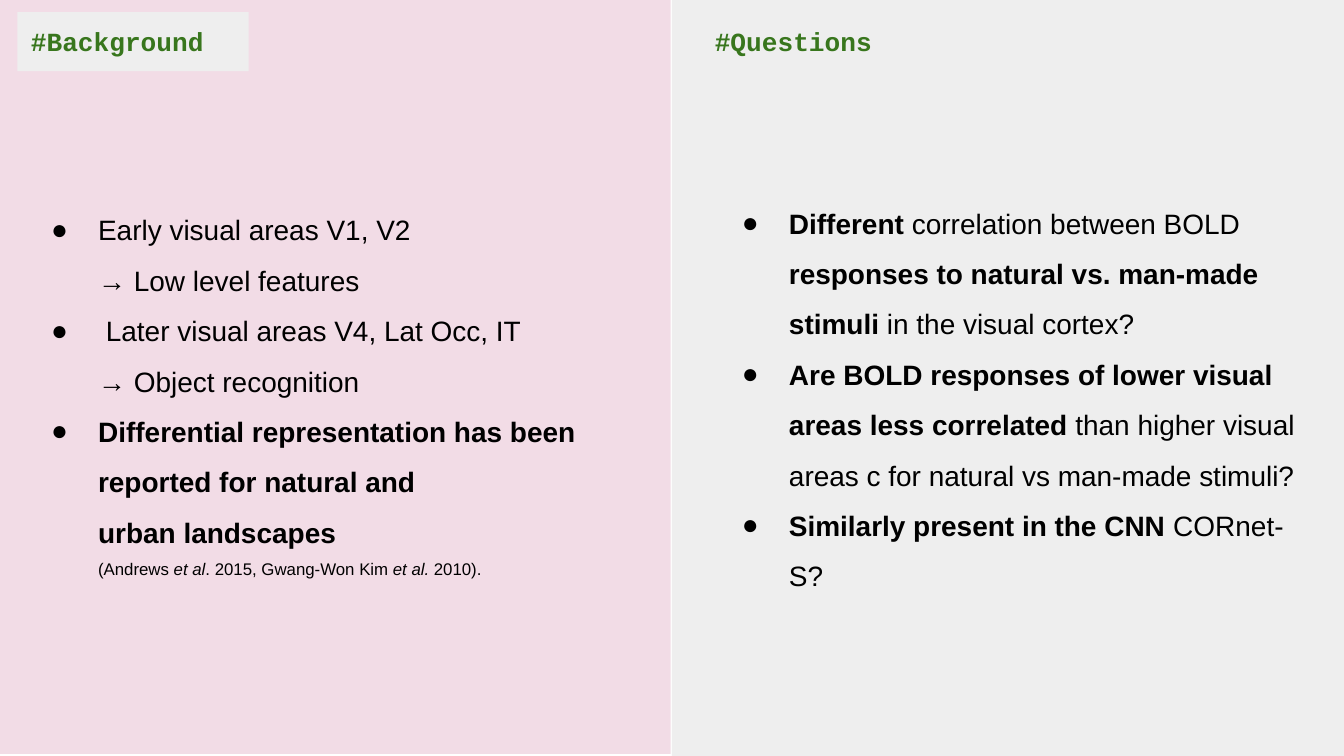
from copy import deepcopy

from lxml.etree import SubElement
from pptx import Presentation
from pptx.dml.color import RGBColor
from pptx.enum.shapes import MSO_SHAPE
from pptx.enum.text import MSO_ANCHOR, MSO_AUTO_SIZE, PP_ALIGN
from pptx.oxml.ns import qn
from pptx.util import Inches, Pt

GREY = RGBColor(0xEE, 0xEE, 0xEE)
PINK = RGBColor(0xF2, 0xDC, 0xE6)
GREEN = RGBColor(0x38, 0x76, 0x1D)
BLACK = RGBColor(0, 0, 0)

# Each bullet is a list of (text, style); style letters: b bold, i italic, s small
BACKGROUND = [
    [("Early visual areas V1, V2 \n→ Low level features", "")],
    [(" Later visual areas V4, Lat Occ, IT\n→ Object recognition", "")],
    [("Differential representation has been reported for natural and \n"
      "urban landscapes \n", "b"),
     ("(Andrews ", "s"), ("et al", "si"), (". 2015, Gwang-Won Kim ", "s"),
     ("et al.", "si"), (" 2010).", "s")],
]
QUESTIONS = [
    [("Different ", "b"), ("correlation between BOLD ", ""),
     ("responses to natural vs. man-made stimuli ", "b"),
     ("in the visual cortex?", "")],
    [("Are BOLD responses of lower visual areas less correlated", "b"),
     (" than higher visual areas c for natural vs man-made stimuli?", "")],
    [("Similarly present in the CNN", "b"), (" CORnet-S?", "")],
]


def add_panel(slide, left, top, width, height, color):
    sp = slide.shapes.add_shape(MSO_SHAPE.RECTANGLE, Inches(left), Inches(top),
                                Inches(width), Inches(height))
    sp.shadow.inherit = False
    sp.fill.solid()
    sp.fill.fore_color.rgb = color
    sp.line.fill.background()
    return sp


def set_frame(sp, left, top, width, height):
    sp.left, sp.top = Inches(left), Inches(top)
    sp.width, sp.height = Inches(width), Inches(height)
    tf = sp.text_frame
    tf.word_wrap = True
    tf.auto_size = MSO_AUTO_SIZE.NONE
    tf.vertical_anchor = MSO_ANCHOR.TOP
    tf.margin_left = tf.margin_right = Inches(0.1)
    tf.margin_top = tf.margin_bottom = Inches(0.1)
    return tf


def add_run(p, text, size, font, color, bold=False, italic=False):
    r = p.add_run()
    r.text = text
    r.font.size = Pt(size)
    r.font.name = font
    r.font.color.rgb = color
    r.font.bold = bold
    r.font.italic = italic
    return r


def fill_heading(sp, left, text):
    tf = set_frame(sp, left, 0.09, 1.72, 0.44)
    sp.fill.solid()
    sp.fill.fore_color.rgb = GREY
    p = tf.paragraphs[0]
    p.alignment = PP_ALIGN.LEFT
    add_run(p, text, 14, "Courier New", GREEN, bold=True)


def set_bullet(p):
    pPr = p._p.get_or_add_pPr()
    pPr.set("marL", str(Inches(0.5)))
    pPr.set("indent", str(Inches(-0.35)))
    color = SubElement(pPr, qn("a:buClr"))
    SubElement(color, qn("a:srgbClr")).set("val", str(BLACK))
    SubElement(pPr, qn("a:buFont")).set("typeface", "Arial")
    SubElement(pPr, qn("a:buChar")).set("char", "●")


def add_lines(p, text, style):
    """Add styled text, giving each line break the format of its run."""
    for i, line in enumerate(text.split("\n")):
        if i:
            p.add_line_break()
            p._p.findall(qn("a:br"))[-1].append(deepcopy(r.font._element))
        if line:
            r = add_run(p, line, 9 if "s" in style else 15, "Arial", BLACK,
                        "b" in style, "i" in style)


def fill_list(sp, left, top, height, bullets):
    tf = set_frame(sp, left, top, 4.47, height)
    for i, parts in enumerate(bullets):
        p = tf.add_paragraph() if i else tf.paragraphs[0]
        set_bullet(p)
        p.line_spacing = 1.5
        p.space_before = Pt(0)
        for text, style in parts:
            add_lines(p, text, style)


def main():
    prs = Presentation()
    prs.slide_width = Inches(10)
    prs.slide_height = prs.slide_width * 9 // 16
    slide = prs.slides.add_slide(prs.slide_layouts[3])
    title, left_body, right_body = slide.placeholders

    # Half-slide panels, placed behind the text
    panels = [add_panel(slide, 5, -0.02, 5, 5.66, GREY),
              add_panel(slide, -0.01, -0.01, 5, 5.62, PINK)]
    for sp in reversed(panels):
        slide.shapes._spTree.insert(2, sp._element)

    # Bulleted lists
    fill_list(left_body, 0.13, 1.36, 3, BACKGROUND)
    fill_list(right_body, 5.27, 1.31, 3.11, QUESTIONS)

    # Headings
    fill_heading(title, 0.13, "#Background")
    questions = slide.shapes.add_textbox(0, 0, 0, 0)
    fill_heading(questions, 5.22, "#Questions")

    prs.save("out.pptx")


if __name__ == "__main__":
    main()
